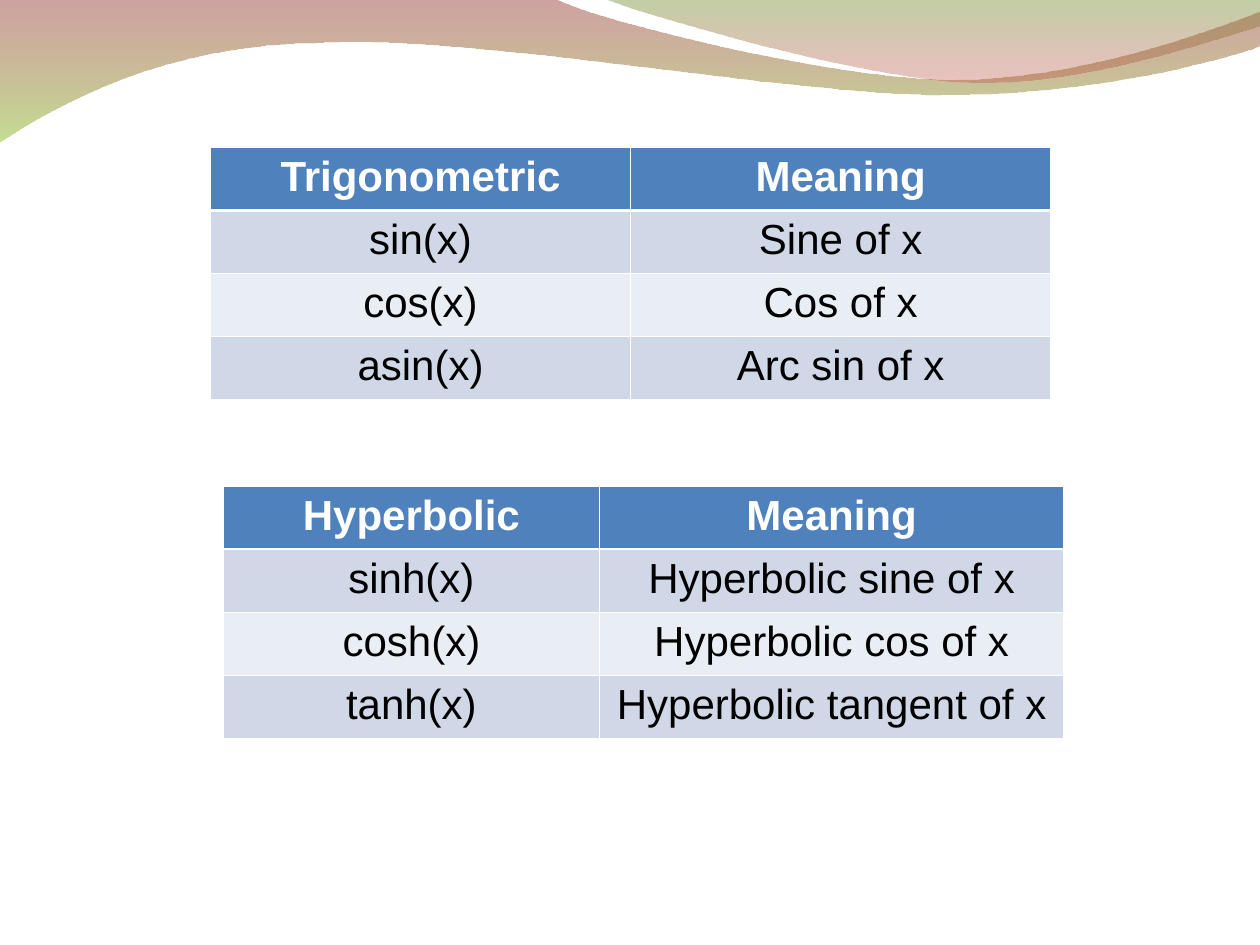
import pptx
import pptx.dml.color
import pptx.enum.text
import pptx.oxml
import pptx.oxml.ns
import pptx.util
from dataclasses import dataclass

Inches = pptx.util.Inches
Pt = pptx.util.Pt
qn = pptx.oxml.ns.qn


@dataclass(frozen=True)
class Theme:
    font: str = "Arial"
    text_size: float = 24
    white: str = "FFFFFF"
    black: str = "000000"
    header: str = "4F81BD"
    bands: tuple = ("D0D8E8", "E9EDF4")
    thin: float = 0.45
    thick: float = 1.47
    # Gradient stops, top to bottom: colour and opacity in percent
    back_wave: tuple = (("95302E", 45), ("95C237", 55))
    front_wave: tuple = (("749434", 45), ("BD322E", 30))


THEME = Theme()
TABLE_WIDTH = 6.67
TABLE_HEIGHT = 2
HYPERBOLIC_NAME_WIDTH = 2.99

# Wave outlines in inches: one point is a straight line, three are a Bezier curve
BACK_WAVE = [
    [(0, -0.01)],
    [(4.4, -0.01)],
    [(4.76, 0.17), (6.64, 0.63), (7.58, 0.63)],
    [(8.53, 0.63), (9.58, 0.26), (10, 0.09)],
    [(10.01, 0.36)],
    [(9.83, 0.44), (8.7, 0.76), (7.46, 0.75)],
    [(6.22, 0.75), (3.82, 0.28), (2.57, 0.34)],
    [(1.29, 0.35), (0.46, 0.83), (-0.01, 1.13)],
    [(0, -0.01)],
]
FRONT_WAVE = [
    [(4.79, -0.01)],
    [(5.09, 0.11), (6.82, 0.62), (7.69, 0.65)],
    [(8.56, 0.69), (9.61, 0.32), (10, 0.21)],
    [(10, 0)],
    [(4.79, -0.01)],
]

TRIGONOMETRIC = [
    ("Trigonometric", "Meaning"),
    ("sin(x)", "Sine of x"),
    ("cos(x)", "Cos of x"),
    ("asin(x)", "Arc sin of x"),
]
HYPERBOLIC = [
    ("Hyperbolic", "Meaning"),
    ("sinh(x)", "Hyperbolic sine of x"),
    ("cosh(x)", "Hyperbolic cos of x"),
    ("tanh(x)", "Hyperbolic tangent of x"),
]


def rgb(value):
    return pptx.dml.color.RGBColor.from_string(value)


def write_text(frame, text, color=THEME.black, bold=False, size=THEME.text_size):
    paragraph = frame.paragraphs[0]
    paragraph.alignment = pptx.enum.text.PP_ALIGN.CENTER
    run = paragraph.add_run()
    run.text = text
    run.font.name = THEME.font
    run.font.size = Pt(size)
    run.font.bold = bold
    run.font.color.rgb = rgb(color)


def bend_segments(wave, outline):
    """Turn each run of three straight segments that stands for a curve into one."""
    lines = iter(list(wave.element.iter(qn("a:lnTo"))))
    for segment in outline[1:]:
        parts = [next(lines) for _ in segment]
        if len(parts) == 3:
            curve = pptx.oxml.parse_xml(
                f'<a:cubicBezTo {pptx.oxml.ns.nsdecls("a")}/>')
            parts[0].addprevious(curve)
            for part in parts:
                curve.append(part[0])
                part.getparent().remove(part)


def add_wave(slide, left, top, outline, stops):
    corners = [(Inches(left + x), Inches(top + y))
               for segment in outline for x, y in segment]
    builder = slide.shapes.build_freeform(*corners[0])
    builder.add_line_segments(corners[1:], close=True)
    wave = builder.convert_to_shape()
    bend_segments(wave, outline)
    wave.shadow.inherit = False
    wave.line.fill.background()
    wave.fill.gradient()
    wave.fill.gradient_angle = 270
    for stop, (color, _) in zip(wave.fill.gradient_stops, stops):
        stop.color.rgb = rgb(color)
    # Opacity of each stop
    colors = list(wave.element.spPr.iter(qn("a:srgbClr")))
    for color, (_, opacity) in zip(colors, stops):
        color.append(pptx.oxml.parse_xml(
            f'<a:alpha {pptx.oxml.ns.nsdecls("a")} val="{opacity * 1000}"/>'))


def set_borders(cell, **widths):
    for side, width in widths.items():
        cell._tc.get_or_add_tcPr().append(pptx.oxml.parse_xml(
            f'<a:ln{side} {pptx.oxml.ns.nsdecls("a")} w="{Pt(width)}">'
            f'<a:solidFill><a:srgbClr val="{THEME.white}"/></a:solidFill></a:ln{side}>'))


def add_function_table(slide, left, top, width, height, name_width, entries):
    table = slide.shapes.add_table(
        len(entries), 2, Inches(left), Inches(top), Inches(width), Inches(height)).table
    table.columns[0].width = Inches(name_width)
    table.columns[1].width = Inches(width - name_width)
    for r, entry in enumerate(entries):
        is_header = r == 0
        for c, text in enumerate(entry):
            cell = table.cell(r, c)
            # A thicker rule parts the header from the body
            set_borders(cell, L=THEME.thin, R=THEME.thin,
                        T=THEME.thick if r == 1 else THEME.thin,
                        B=THEME.thick if is_header else THEME.thin)
            cell.fill.solid()
            cell.fill.fore_color.rgb = rgb(
                THEME.header if is_header else THEME.bands[(r - 1) % 2])
            write_text(cell.text_frame, text, bold=is_header,
                       color=THEME.white if is_header else THEME.black)


def main():
    deck = pptx.Presentation()
    deck.slide_width, deck.slide_height = Inches(10), Inches(7.5)
    slide = deck.slides.add_slide(deck.slide_layouts[6])

    # Waves along the top edge
    add_wave(slide, 0, 0, BACK_WAVE, THEME.back_wave)
    add_wave(slide, 0, 0, FRONT_WAVE, THEME.front_wave)

    # Function tables
    add_function_table(slide, 1.67, 1.17, TABLE_WIDTH, TABLE_HEIGHT,
                       TABLE_WIDTH / 2, TRIGONOMETRIC)
    add_function_table(slide, 1.77, 3.86, TABLE_WIDTH, TABLE_HEIGHT,
                       HYPERBOLIC_NAME_WIDTH, HYPERBOLIC)

    deck.save("out.pptx")


if __name__ == "__main__":
    main()
